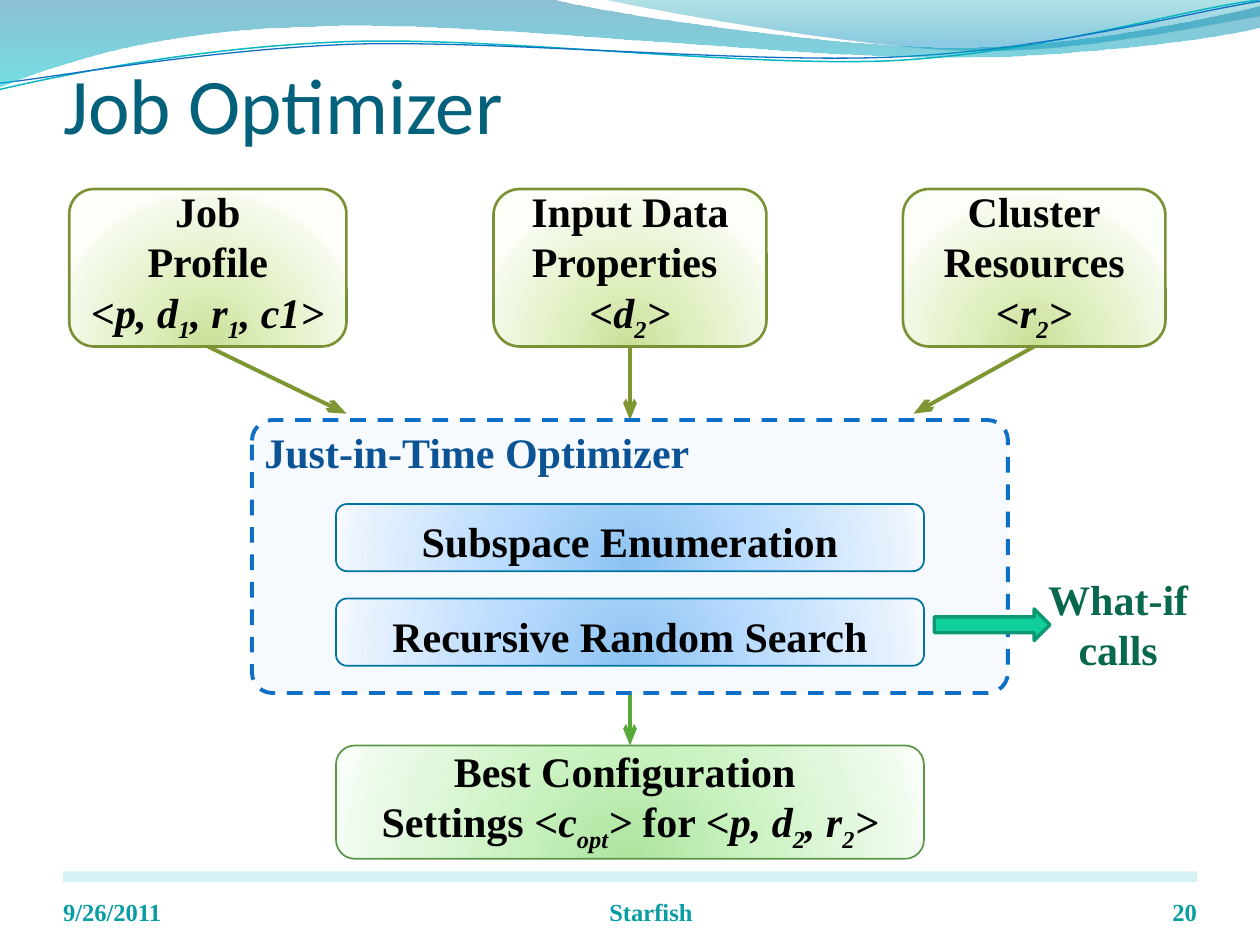
"""Build the Job Optimizer slide."""
from typing import NamedTuple, Optional

from lxml.etree import SubElement
from pptx import Presentation
from pptx.dml.color import RGBColor
from pptx.enum.dml import MSO_LINE
from pptx.enum.shapes import MSO_CONNECTOR, MSO_SHAPE as Preset
from pptx.enum.text import MSO_ANCHOR as Anchor, PP_ALIGN as Align
from pptx.oxml.ns import qn
from pptx.util import Inches, Pt

COLUMNS, ROWS = 120, 90
WIDTH, HEIGHT = Inches(10), Inches(7.5)
SERIF = "Times New Roman"
BLACK = RGBColor(0x00, 0x00, 0x00)
TITLE = RGBColor(0x04, 0x61, 0x7B)
FOOTER = RGBColor(0x08, 0x9C, 0xA3)
BAR = RGBColor(0xB3, 0xEA, 0xF2)
TEAL = RGBColor(0x0A, 0xB8, 0xBF)
BLUE = RGBColor(0x0F, 0x6F, 0xC6)
PALE_BLUE = RGBColor(0xC8, 0xE3, 0xFB)
HEADING = RGBColor(0x0B, 0x53, 0x94)
STEP_LINE = RGBColor(0x00, 0x74, 0xA1)
OLIVE = RGBColor(0x7E, 0x96, 0x32)
OLIVE_LINE = RGBColor(0x7B, 0x91, 0x35)
GREEN = RGBColor(0x55, 0xA8, 0x39)
GREEN_LINE = RGBColor(0x5B, 0x97, 0x47)
MINT = RGBColor(0x10, 0xCF, 0x9B)
MINT_LINE = RGBColor(0x0C, 0x99, 0x73)
CALLS = RGBColor(0x08, 0x68, 0x4E)
STOPS = (0, 43, 93, 100)
OLIVE_GLOW = ("C9DF97", "E0F0C1", "F5FAEC", "FCFEF8")
BLUE_GLOW = ("8BC2F1", "B9DBFD", "EAF3FE", "F8FBFF")
GREEN_GLOW = ("ACE49F", "CDF3C4", "EFFBED", "F9FFF8")
STEP_MARGINS = (0.1, 0.1, 0.1, 0.05)


class Area(NamedTuple):
    """A rectangle in grid columns and rows."""
    column: float
    row: float
    columns: float
    rows: float


class Card(NamedTuple):
    """A rounded box with a radial glow and centred text."""
    area: Area
    text: str
    glow: tuple
    line: RGBColor
    weight: float
    margins: tuple = (0.1, 0, 0.1, 0.05)
    radius: float = 0.1667


class Arrow(NamedTuple):
    """A line with an arrowhead at its end, in grid units."""
    start: tuple
    end: tuple
    color: RGBColor


class Wave(NamedTuple):
    """An outline in inches: a pair is a corner, six numbers are a curve."""
    segments: tuple
    gradient: tuple = ()
    line: Optional[RGBColor] = None
    weight: float = 0


CARDS = (
    Card(Area(32, 71, 56, 10.8), "Best Configuration \nSettings *<c_opt_>* for *<p, d_2_, r_2_>*",
         GREEN_GLOW, GREEN_LINE, 1),
    Card(Area(32, 48, 56, 6.4), "Subspace Enumeration", BLUE_GLOW, STEP_LINE, 1, STEP_MARGINS),
    Card(Area(32, 57, 56, 6.4), "Recursive Random Search", BLUE_GLOW, STEP_LINE, 1, STEP_MARGINS),
    Card(Area(6.6, 18, 26.4, 15), "Job\nProfile\n*<p, d_1_, r_1_, c1>*",
         OLIVE_GLOW, OLIVE_LINE, 1.5, radius=0.157),
    Card(Area(47, 18, 26, 15), "Input Data\nProperties \n*<d_2_>*",
         OLIVE_GLOW, OLIVE_LINE, 1.5, (0, 0, 0, 0.05)),
    Card(Area(86, 18, 25, 15), "Cluster\nResources\n*<r_2_>*", OLIVE_GLOW, OLIVE_LINE, 1.5),
)
ARROWS = (
    Arrow((19.8, 33), (33, 39.4), OLIVE),
    Arrow((60, 33), (60, 40), OLIVE),
    Arrow((98.5, 33), (87, 39.4), OLIVE),
    Arrow((60, 66), (60, 71), GREEN),
)
WAVES = (
    Wave(((4.79, 0), (5.09, 0.07, 6.82, 0.38, 7.69, 0.4), (8.56, 0.42, 9.61, 0.19, 10, 0.13),
          (10, 0)), ((0, "00A1A9", 30), (80, "008BBF", 45))),
    Wave(((0, 0.71), (0.47, 0.6, 1.58, 0.37, 2.77, 0.33), (3.96, 0.29, 5.92, 0.54, 7.12, 0.48),
          (8.32, 0.41, 9.39, 0.07, 9.99, 0)), line=TEAL, weight=0.85),
    Wave(((0, 0.66), (0.47, 0.61, 1.64, 0.39, 2.83, 0.35), (4.03, 0.32, 5.97, 0.51, 7.16, 0.45),
          (8.36, 0.39, 9.42, 0.1, 10, 0.01)), line=BLUE, weight=0.75),
    Wave(((0, 0), (4.4, 0), (4.76, 0.1, 6.64, 0.38, 7.58, 0.38),
          (8.53, 0.38, 9.58, 0.15, 10, 0.05), (10, 0.22), (9.83, 0.27, 8.7, 0.46, 7.46, 0.46),
          (6.22, 0.46, 3.82, 0.17, 2.57, 0.21), (1.29, 0.22, 0.46, 0.51, 0, 0.69)),
         ((0, "0074A1", 45), (100, "00C6CF", 55))),
)


def x_at(column: float) -> int:
    """Turn grid columns into a length."""
    return round(WIDTH * column / COLUMNS)


def y_at(row: float) -> int:
    """Turn grid rows into a length."""
    return round(HEIGHT * row / ROWS)


def box(area: Area) -> tuple:
    """Give left, top, width and height of an area."""
    return x_at(area.column), y_at(area.row), x_at(area.columns), y_at(area.rows)


def write(shape, text: str, *, size=24, color=BLACK, font=SERIF, bold=True, align=Align.CENTER,
          anchor=Anchor.MIDDLE, margins=(0.1, 0.05, 0.1, 0.05)) -> None:
    """Write text in which * toggles italic and _ toggles subscript."""
    frame = shape.text_frame
    frame.word_wrap, frame.vertical_anchor = True, anchor
    (frame.margin_left, frame.margin_top,
     frame.margin_right, frame.margin_bottom) = map(Inches, margins)
    for index, line in enumerate(text.split("\n")):
        paragraph = frame.add_paragraph() if index else frame.paragraphs[0]
        paragraph.alignment = align
        for slant, piece in enumerate(line.split("*")):
            for drop, part in enumerate(piece.split("_")):
                if not part:
                    continue
                run = paragraph.add_run()
                run.text = part
                run.font.name, run.font.size, run.font.bold = font, Pt(size), bold
                run.font.color.rgb = color
                run.font.italic = slant % 2 == 1
                if drop % 2:
                    run.font._element.set("baseline", "-25000")


def add_text(slide, area: Area, text: str, **style) -> None:
    """Add a text box."""
    write(slide.shapes.add_textbox(*box(area)), text, **style)


def fill_gradient(shape, stops, radial: bool = False) -> None:
    """Fill with position, colour and opacity stops, downwards or from below."""
    shape.fill.gradient()
    gradient = shape._element.spPr.find(qn("a:gradFill"))
    for child in list(gradient):
        gradient.remove(child)
    stop_list = SubElement(gradient, qn("a:gsLst"))
    for position, color, opacity in stops:
        stop = SubElement(stop_list, qn("a:gs"), pos=str(position * 1000))
        shade = SubElement(stop, qn("a:srgbClr"), val=color)
        SubElement(shade, qn("a:alpha"), val=str(opacity * 1000))
    if radial:
        circle = SubElement(gradient, qn("a:path"), path="circle")
        SubElement(circle, qn("a:fillToRect"), l="50000", t="130000", r="50000", b="-30000")
    else:
        SubElement(gradient, qn("a:lin"), ang="5400000", scaled="0")


def add_shape(slide, preset, area: Area, *, fill=None, opacity=100, line=None, weight=0, radius=None):
    """Add a preset shape without shadow."""
    shape = slide.shapes.add_shape(preset, *box(area))
    shape.shadow.inherit = False
    if radius is not None:
        shape.adjustments[0] = radius
    if fill is not None:
        shape.fill.solid()
        shape.fill.fore_color.rgb = fill
        shade = shape._element.spPr.find(qn("a:solidFill"))[0]
        SubElement(shade, qn("a:alpha"), val=str(opacity * 1000))
    set_line(shape, line, weight)
    return shape


def set_line(shape, color: Optional[RGBColor], weight: float) -> None:
    """Colour the outline, or hide it."""
    if color is None:
        shape.line.fill.background()
    else:
        shape.line.color.rgb, shape.line.width = color, Pt(weight)


def add_card(slide, card: Card) -> None:
    """Draw a card."""
    shape = add_shape(slide, Preset.ROUNDED_RECTANGLE, card.area, line=card.line,
                      weight=card.weight, radius=card.radius)
    fill_gradient(shape, [(stop, color, 100) for stop, color in zip(STOPS, card.glow)], True)
    write(shape, card.text, margins=card.margins)


def add_arrow(slide, arrow: Arrow) -> None:
    """Draw an arrow."""
    (left, top), (right, bottom) = arrow.start, arrow.end
    connector = slide.shapes.add_connector(
        MSO_CONNECTOR.STRAIGHT, x_at(left), y_at(top), x_at(right), y_at(bottom))
    set_line(connector, arrow.color, 2.25)
    SubElement(connector.line._get_or_add_ln(), qn("a:tailEnd"), type="arrow", len="lg")
    SubElement(connector._element.spPr, qn("a:effectLst"))


def add_wave(slide, wave: Wave) -> None:
    """Draw a wave, joining each three points of a curve into one Bezier segment."""
    points = [(Inches(x), Inches(y)) for segment in wave.segments
              for x, y in zip(segment[::2], segment[1::2])]
    builder = slide.shapes.build_freeform(*points[0])
    builder.add_line_segments(points[1:], close=bool(wave.gradient))
    shape = builder.convert_to_shape()
    lines = shape._element.spPr.iter(qn("a:lnTo"))
    lines = iter(list(lines))
    for segment in wave.segments[1:]:
        first = next(lines)
        if len(segment) == 6:
            first.tag = qn("a:cubicBezTo")
            for follower in (next(lines), next(lines)):
                first.append(follower[0])
                follower.getparent().remove(follower)
    shape.shadow.inherit = False
    set_line(shape, wave.line, wave.weight)
    if wave.gradient:
        fill_gradient(shape, wave.gradient)
    else:
        shape.fill.background()


def main() -> None:
    """Build and save the slide."""
    presentation = Presentation()
    presentation.slide_width, presentation.slide_height = WIDTH, HEIGHT
    slide = presentation.slides.add_slide(presentation.slide_layouts[5])
    add_shape(slide, Preset.RECTANGLE, Area(6, 83, 108, 1), fill=BAR, opacity=55)
    for wave in WAVES:
        add_wave(slide, wave)
    title = slide.shapes.title
    title.left, title.top, title.width, title.height = box(Area(6, 4, 108, 11))
    write(title, "Job Optimizer", size=45, color=TITLE, font="Calibri", bold=False,
          align=Align.LEFT, margins=(0, 0.05, 0, 0))
    for arrow in ARROWS:
        add_arrow(slide, arrow)
    panel = add_shape(slide, Preset.ROUNDED_RECTANGLE, Area(24, 40, 72, 26), fill=PALE_BLUE,
                      opacity=15, line=BLUE, weight=2.25, radius=0.075)
    panel.line.dash_style = MSO_LINE.DASH
    for card in CARDS:
        add_card(slide, card)
    add_text(slide, Area(24, 40, 48, 6), "Just-in-Time Optimizer", color=HEADING,
             align=Align.LEFT, anchor=Anchor.TOP)
    add_text(slide, Area(98, 54, 17, 11), "What-if\ncalls", color=CALLS, anchor=Anchor.TOP)
    add_shape(slide, Preset.RIGHT_ARROW, Area(89, 58, 11, 3), fill=MINT, line=MINT_LINE, weight=2)
    for column, columns, text, align in ((6, 28, "9/26/2011", Align.LEFT),
                                         (40, 44, "Starfish", Align.CENTER),
                                         (104, 10, "20", Align.RIGHT)):
        add_text(slide, Area(column, 83.4, columns, 4.8), text, size=14, color=FOOTER,
                 align=align, anchor=Anchor.BOTTOM, margins=(0, 0, 0, 0))
    presentation.save("out.pptx")


if __name__ == "__main__":
    main()
